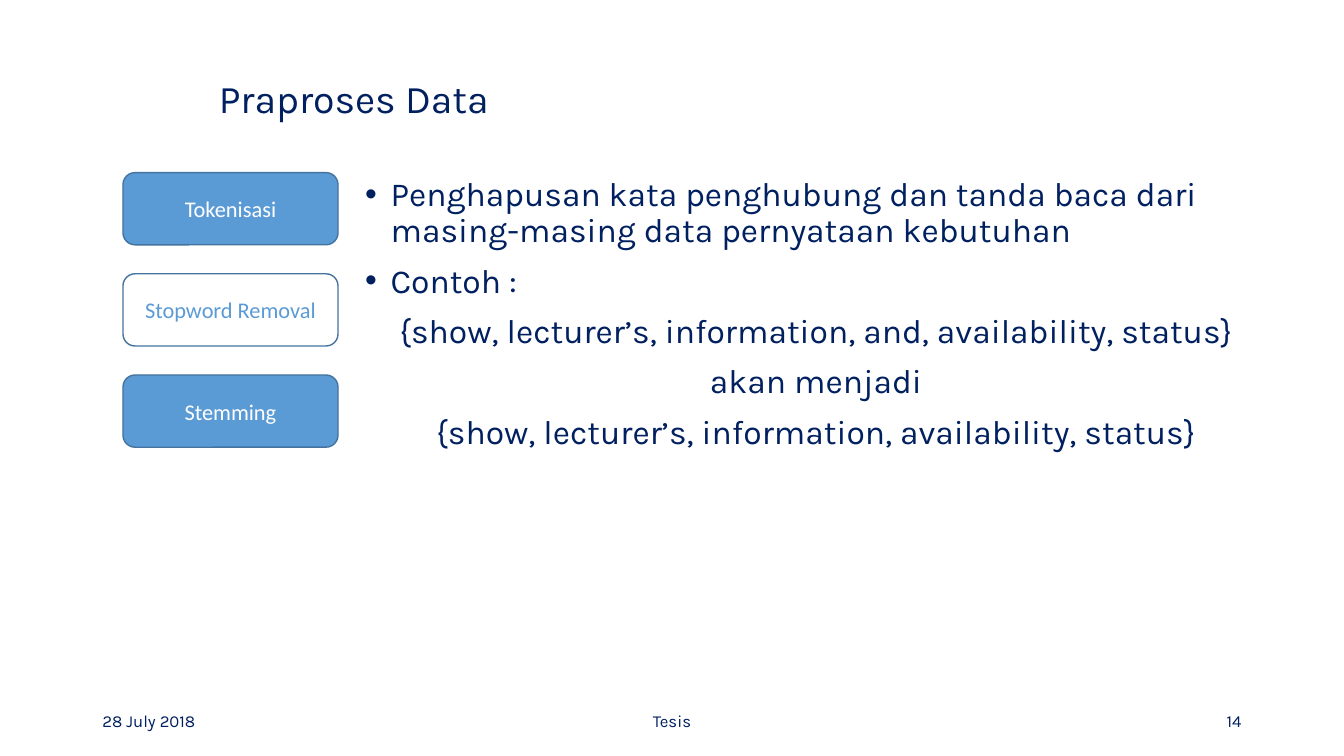
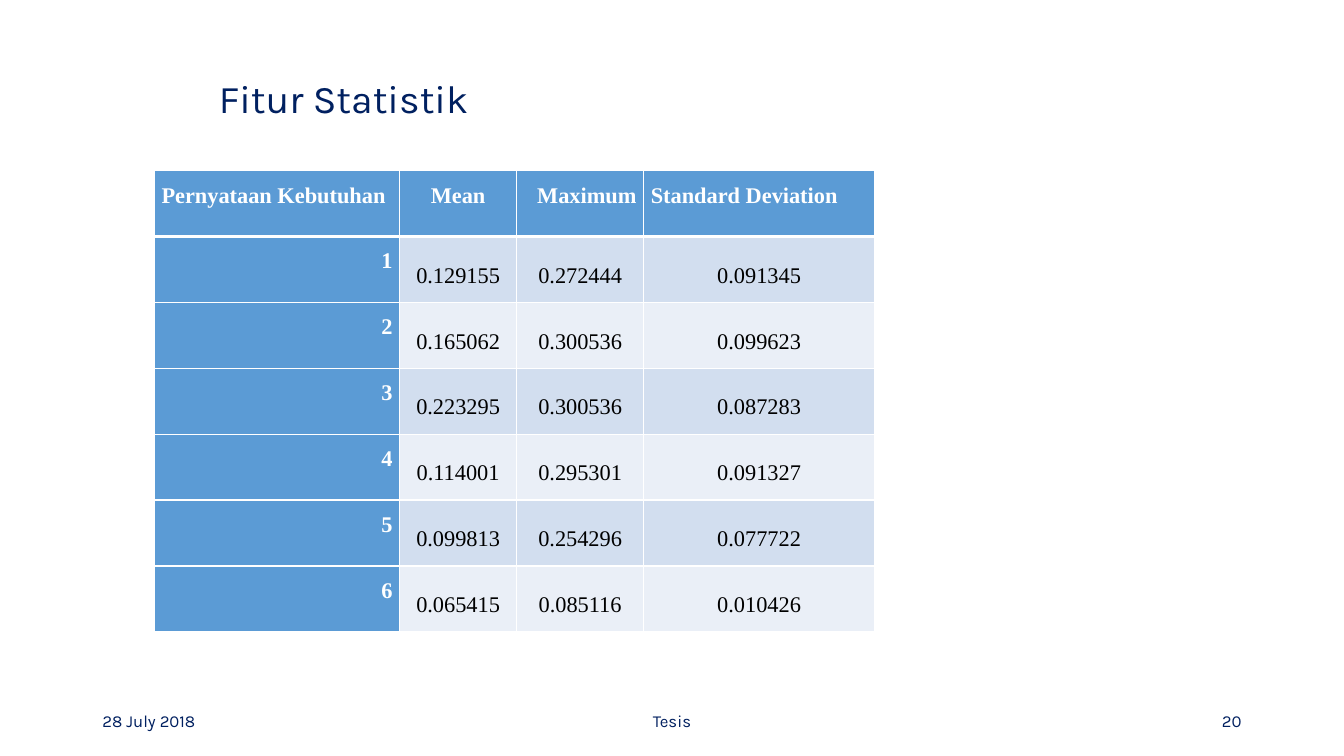
from lxml import etree
from pptx import Presentation, util as u
from pptx.dml.color import RGBColor
from pptx.enum import shapes, text
from pptx.oxml.ns import qn

AL, ANC = text.PP_ALIGN, text.MSO_ANCHOR
Cm, Pt = u.Cm, u.Pt


def rgb(hex_color):
    return RGBColor.from_string(hex_color)


class Deck:
    NAVY, BLUE, EDGE, WHITE, BLACK = "002060", "5B9BD5", "43739E", "FFFFFF", "000000"
    BANDS = ("D2DEEF", "EAEFF7")
    KARLA, CALIBRI, TIMES = "Karla", "Calibri", "Times New Roman"
    DATE, FOOTER = "28 July 2018", "Tesis"

    def __init__(self):
        self.prs = Presentation()
        self.prs.slide_width, self.prs.slide_height = Cm(33.87), Cm(19.05)
        self.s = None

    def style(self, p, font, size, color, align=AL.LEFT, bold=False, spacing=None):
        f = p.font
        f.name, f.size, f.bold = font, Pt(size), bold
        f.color.rgb = rgb(color)
        p.alignment = align
        if spacing:
            p.line_spacing = spacing

    def place(self, sp, x, y, w, h):
        sp.left, sp.top, sp.width, sp.height = Cm(x), Cm(y), Cm(w), Cm(h)
        sp.text_frame.auto_size = text.MSO_AUTO_SIZE.NONE
        sp.text_frame.word_wrap = True

    def slide(self, title, number, layout):
        self.s = self.prs.slides.add_slide(self.prs.slide_layouts[layout])
        sp = self.s.shapes.title
        self.place(sp, 5.26, 1.35, 28.5, 2.36)
        tf = sp.text_frame
        tf.text, tf.vertical_anchor = title, ANC.MIDDLE
        self.style(tf.paragraphs[0], self.KARLA, 28, self.NAVY, spacing=0.9)
        self.footer(self.DATE, 2.33, 7.62, AL.LEFT)
        self.footer(self.FOOTER, 11.22, 11.43, AL.CENTER)
        self.footer(str(number), 23.92, 7.62, AL.RIGHT)

    def footer(self, words, x, w, align):
        sp = self.s.shapes.add_textbox(0, 0, 0, 0)
        self.place(sp, x, 17.66, w, 1.01)
        tf = sp.text_frame
        tf.text, tf.vertical_anchor = words, ANC.MIDDLE
        self.style(tf.paragraphs[0], self.KARLA, 12, self.NAVY, align)

    def body(self, bullets, centred):
        """Fill the body placeholder: bulleted lines, then centred plain lines."""
        sp = self.s.placeholders[1]
        self.place(sp, 8.95, 4.35, 23.23, 12.67)
        tf = sp.text_frame
        tf.text = "\n".join(bullets + centred)
        for i, p in enumerate(tf.paragraphs):
            bulleted = i < len(bullets)
            self.style(p, self.KARLA, 24, self.NAVY,
                       AL.LEFT if bulleted else AL.CENTER, spacing=0.9)
            p.space_before = Pt(10)
            pPr = p._p.get_or_add_pPr()
            indent = Cm(0.64) if bulleted else 0
            pPr.set("marL", str(indent))
            pPr.set("indent", str(-indent))
            if not bulleted:
                pPr.find(qn("a:defRPr")).addprevious(etree.Element(qn("a:buNone")))

    def steps(self, names, current):
        """Stack one box per step; the current one is left unfilled."""
        for i, name in enumerate(names):
            sp = self.s.shapes.add_shape(shapes.MSO_SHAPE.ROUNDED_RECTANGLE,
                                         Cm(3.1), Cm(4.35 + 2.55 * i), Cm(5.42), Cm(1.82))
            sp.shadow.inherit = False
            sp.line.color.rgb, sp.line.width = rgb(self.EDGE), Pt(1)
            if name == current:
                sp.fill.background()
            else:
                sp.fill.solid()
                sp.fill.fore_color.rgb = rgb(self.BLUE)
            tf = sp.text_frame
            tf.text, tf.vertical_anchor = name, ANC.MIDDLE
            self.style(tf.paragraphs[0], self.CALIBRI, 16,
                       self.BLUE if name == current else self.WHITE, AL.CENTER)

    def borders(self, cell, top, bottom):
        tcPr = cell._tc.get_or_add_tcPr()
        for side, width in (("L", 1), ("R", 1), ("T", top), ("B", bottom)):
            ln = etree.SubElement(tcPr, qn("a:ln" + side), w=str(Pt(width)))
            fill = etree.SubElement(ln, qn("a:solidFill"))
            etree.SubElement(fill, qn("a:srgbClr"), val=self.WHITE)

    def table(self, head, head_aligns, rows, widths):
        data = [head] + rows
        row_h = 1.66
        tbl = self.s.shapes.add_table(len(data), len(head), Cm(3.89), Cm(4.3),
                                      Cm(sum(widths)), Cm(row_h * len(data))).table
        for col, w in zip(tbl.columns, widths):
            col.width = Cm(w)
        for r, values in enumerate(data):
            tbl.rows[r].height = Cm(row_h)
            for c, value in enumerate(values):
                cell = tbl.cell(r, c)
                label = r == 0 or c == 0
                cell.text = value
                cell.margin_left = cell.margin_right = Cm(0.18)
                cell.margin_top = cell.margin_bottom = 0
                cell.vertical_anchor = ANC.TOP if label else ANC.MIDDLE
                align = head_aligns[c] if r == 0 else AL.RIGHT if c == 0 else AL.CENTER
                self.style(cell.text_frame.paragraphs[0], self.TIMES, 16,
                           self.WHITE if label else self.BLACK, align, label, 1.5)
                self.borders(cell, 3 if r == 1 else 1, 3 if r == 0 else 1)
                cell.fill.solid()
                cell.fill.fore_color.rgb = rgb(self.BLUE if label else self.BANDS[(r - 1) % 2])


def main():
    deck = Deck()

    deck.slide("Praproses Data", 14, layout=1)
    deck.body(["Penghapusan kata penghubung dan tanda baca dari masing-masing "
               "data pernyataan kebutuhan",
               "Contoh :"],
              ["{show, lecturer’s, information, and, availability, status}",
               "akan menjadi",
               "{show, lecturer’s, information, availability, status}"])
    deck.steps(["Tokenisasi", "Stopword Removal", "Stemming"], current="Stopword Removal")

    deck.slide("Fitur Statistik", 20, layout=5)
    deck.table(["Pernyataan Kebutuhan", "Mean", "Maximum", "Standard Deviation"],
               [AL.LEFT, AL.CENTER, AL.RIGHT, AL.JUSTIFY],
               [["1", "0.129155", "0.272444", "0.091345"],
                ["2", "0.165062", "0.300536", "0.099623"],
                ["3", "0.223295", "0.300536", "0.087283"],
                ["4", "0.114001", "0.295301", "0.091327"],
                ["5", "0.099813", "0.254296", "0.077722"],
                ["6", "0.065415", "0.085116", "0.010426"]],
               [6.18, 2.95, 3.2, 5.82])

    deck.prs.save("out.pptx")


if __name__ == "__main__":
    main()
